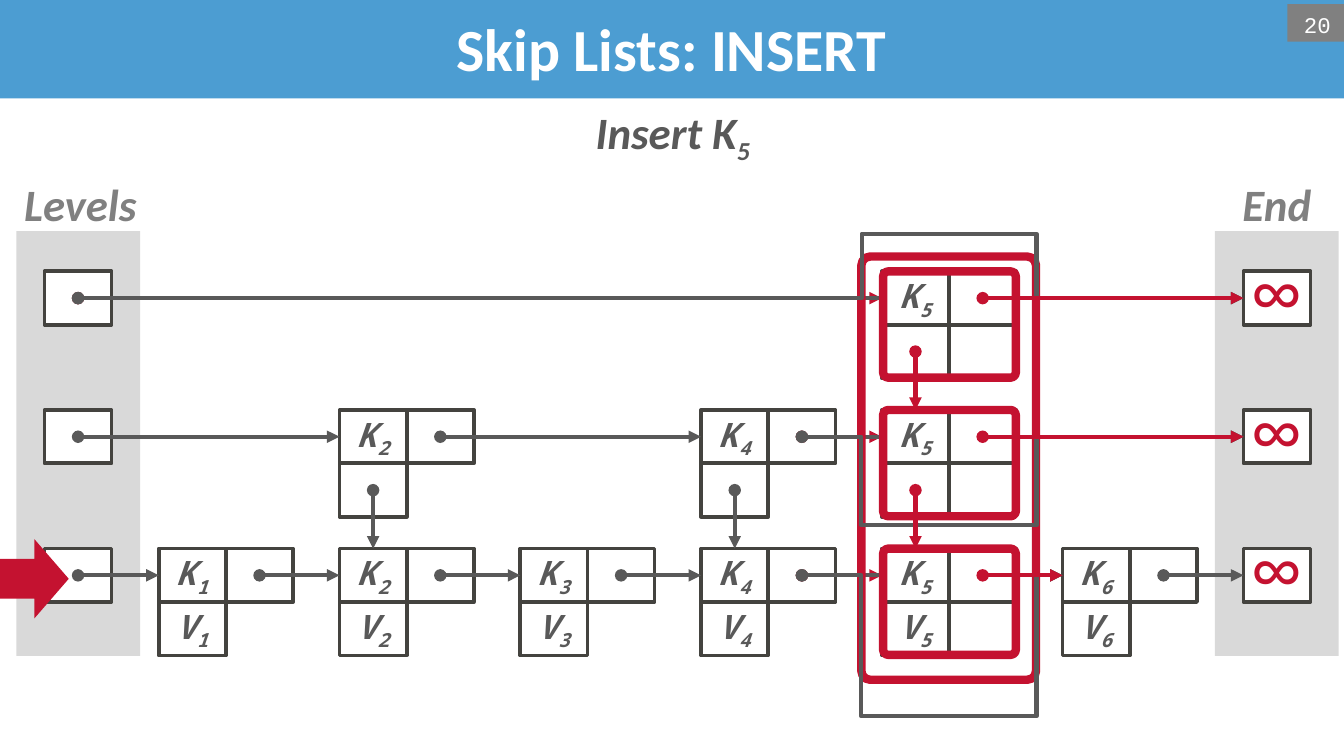
from lxml import etree
from pptx import Presentation
from pptx.dml.color import RGBColor
from pptx.enum.shapes import MSO_CONNECTOR, MSO_SHAPE
from pptx.enum.text import MSO_ANCHOR, PP_ALIGN
from pptx.oxml.ns import qn
from pptx.util import Cm, Pt

RECT, ROUNDED = MSO_SHAPE.RECTANGLE, MSO_SHAPE.ROUNDED_RECTANGLE
DOWN_ARROW = MSO_SHAPE.DOWN_ARROW
STRAIGHT, ELBOW = MSO_CONNECTOR.STRAIGHT, MSO_CONNECTOR.ELBOW
TOP, MIDDLE = MSO_ANCHOR.TOP, MSO_ANCHOR.MIDDLE
CENTER, RIGHT = PP_ALIGN.CENTER, PP_ALIGN.RIGHT
TOP_SIDE, LEFT_SIDE = 0, 1

WHITE, GREY, RED, OUTLINE = "FFFFFF", "595959", "C41230", "44433F"
PALE, MID, BLUE = "D9D9D9", "808080", "4C9DD2"
HEADING, MONO = "Calibri", "Noto Sans Mono"
DEFAULT_INSETS = (0.25, 0.13, 0.25, 0.13)

prs = Presentation()
prs.slide_width, prs.slide_height = Cm(25.4), Cm(14.29)
slide = prs.slides.add_slide(prs.slide_layouts[5])
shapes = slide.shapes


def box(text, x, y, w, h, *, sub="", shape=None, kind=RECT, fill=None, line=None,
        width=2, font=MONO, size=18, color=GREY, bold=True, italic=True,
        align=CENTER, anchor=MIDDLE, insets=(0.13, 0.13, 0.13, 0.13), spacing=None):
    """Place a shape, colour it and write its text with an optional subscript."""
    if shape is None:
        shape = shapes.add_shape(kind, 0, 0, 0, 0)
        shape.shadow.inherit = False
    shape.left, shape.top, shape.width, shape.height = Cm(x), Cm(y), Cm(w), Cm(h)
    if fill:
        shape.fill.solid()
        shape.fill.fore_color.rgb = RGBColor.from_string(fill)
    else:
        shape.fill.background()
    if line:
        shape.line.color.rgb = RGBColor.from_string(line)
        shape.line.width = Pt(width)
    else:
        shape.line.fill.background()
    if not text:
        return shape

    frame = shape.text_frame
    frame.word_wrap = True
    frame.vertical_anchor = anchor
    (frame.margin_left, frame.margin_top,
     frame.margin_right, frame.margin_bottom) = map(Cm, insets)
    paragraph = frame.paragraphs[0]
    paragraph.alignment = align
    paragraph.line_spacing = spacing
    for part in filter(None, (text, sub)):
        run = paragraph.add_run()
        run.text = part
        run.font.name, run.font.size = font, Pt(size)
        run.font.bold, run.font.italic = bold, italic
        run.font.color.rgb = RGBColor.from_string(color)
    if sub:
        run.font._element.set("baseline", "-25000")
    return shape


def link(x1, y1, x2, y2, color=GREY, *, turn=None, dot=True, arrow=True,
         target=None, side=LEFT_SIDE):
    """Draw a pointer; turn is the x at which an elbow bends."""
    kind = STRAIGHT if turn is None else ELBOW
    pointer = shapes.add_connector(kind, Cm(x1), Cm(y1), Cm(x2), Cm(y2))
    pointer.line.color.rgb = RGBColor.from_string(color)
    pointer.line.width = Pt(2.25)
    properties = pointer._element.spPr
    if turn is not None:
        adjust = etree.SubElement(next(properties.iter(qn("a:avLst"))), qn("a:gd"))
        adjust.set("name", "adj1")
        adjust.set("fmla", f"val {round((turn - x1) / (x2 - x1) * 100000)}")
    ends = pointer.line._get_or_add_ln()
    if dot:
        etree.SubElement(ends, qn("a:headEnd")).set("type", "oval")
    if arrow:
        etree.SubElement(ends, qn("a:tailEnd")).set("type", "triangle")
    etree.SubElement(properties, qn("a:effectLst"))
    if target is not None:
        pointer.end_connect(target, side)
    return pointer


# Grid: three levels, six key columns between the level heads and the end
CELL_W, CELL_H = 1.27, 1.01
HEAD_X, FIRST_X, END_X = 0.84, 3, 23.5
key_x = {n: FIRST_X + (n - 1) * (END_X - FIRST_X) / 6 for n in range(1, 7)}
dot_x = {n: x + 1.5 * CELL_W for n, x in key_x.items()}
head_dot = HEAD_X + CELL_W / 2
row_y = [5.13 + 2.62 * level for level in range(3)]
line_y = [y + CELL_H / 2 for y in row_y]
cell_style = dict(fill=WHITE, line=OUTLINE)

# Title, page number and subtitle
box("Skip Lists: INSERT", 0, -0.05, 25.4, 1.91, shape=shapes.title, fill=BLUE,
    font=HEADING, size=32, color=WHITE, italic=False, insets=DEFAULT_INSETS)
box("20", 24.33, 0.08, 1.07, 0.71, fill=MID, font="Courier New", size=12, color=WHITE,
    bold=False, italic=False, align=RIGHT, anchor=TOP, insets=DEFAULT_INSETS)
box("Insert K", 7.85, 1.85, 9.73, 1.27, sub="5", shape=shapes.add_textbox(0, 0, 0, 0),
    font=HEADING, size=24, anchor=TOP, insets=DEFAULT_INSETS)

# Side bands with their labels
for label, band_x, label_x, label_w in (("End", 22.96, 22.96, 2.34),
                                        ("Levels", 0.31, 0.25, 2.54)):
    box("", band_x, 4.37, 2.34, 8.03, fill=PALE)
    box(label, label_x, 3.33, label_w, 1.02, shape=shapes.add_textbox(0, 0, 0, 0),
        font=HEADING, size=24, color=MID, insets=(0, 0, 0, 0))

# Level heads and end cells
end_cells = []
for y in row_y:
    box("", HEAD_X, y, CELL_W, CELL_H, **cell_style)
    end_cells.append(box("∞", END_X, y, CELL_W, CELL_H, size=40, color=RED, bold=False,
                         italic=False, insets=(0, 0.25, 0, 0.13), spacing=0.8,
                         **cell_style))

# Existing nodes, then the frame and nodes of the new key over the old pointers
key_cells, incoming = {}, []
old_nodes = [(1, 2), (2, 1), (2, 2), (3, 2), (4, 1), (4, 2), (6, 2)]
new_nodes = [(5, 0), (5, 1), (5, 2)]
for nodes in (old_nodes, new_nodes):
    if nodes is new_nodes:
        for start, y, after in ((head_dot, line_y[0], END_X),
                                (dot_x[4], line_y[1], END_X),
                                (dot_x[4], line_y[2], key_x[6])):
            incoming.append(link(start, y, key_x[5], y, RED))
            old_target = key_cells[6, 2] if after == key_x[6] else end_cells[len(incoming) - 1]
            link(start, y, after, y, target=old_target)
        frame = box("", 16.28, 4.85, 3.3, 8, kind=ROUNDED, line=RED, width=4.5)
        frame.adjustments[0] = 0.05
    for n, level in nodes:
        x, y = key_x[n], row_y[level]
        key_cells[n, level] = box("K", x, y, CELL_W, CELL_H, sub=str(n), **cell_style)
        value = ("V", str(n)) if level == 2 else ("", "")
        box(value[0], x, y + CELL_H, CELL_W, CELL_H, sub=value[1], **cell_style)
        box("", x + CELL_W, y, CELL_W, CELL_H, **cell_style)
for level, pointer in enumerate(incoming):
    pointer.end_connect(key_cells[5, level], LEFT_SIDE)

# Pointers that stay as they were
for start, n, level in ((head_dot, 1, 2), (dot_x[1], 2, 2), (dot_x[2], 3, 2),
                        (dot_x[3], 4, 2), (head_dot, 2, 1), (dot_x[2], 4, 1)):
    link(start, line_y[level], key_x[n], line_y[level], target=key_cells[n, level])
link(dot_x[6], line_y[2], END_X, line_y[2], target=end_cells[2])

# Old pointers bent around the new node
BEND_LEFT, BEND_MID, BEND_RIGHT = 16.28, 17.93, 19.59
for start, level, detour_y, after in ((dot_x[4], 2, 13.54, key_x[6]),
                                      (head_dot, 0, 4.42, END_X),
                                      (dot_x[4], 1, 9.93, END_X)):
    link(start, line_y[level], BEND_MID, detour_y, turn=BEND_LEFT, arrow=False)
    link(BEND_MID, detour_y, after, line_y[level], turn=BEND_RIGHT, dot=False)

# Red outlines and outgoing pointers of the new node
for level, target in enumerate((end_cells[0], end_cells[1], key_cells[6, 2])):
    outline = box("", 16.69, row_y[level], 2.51, 2.01, kind=ROUNDED, line=RED, width=4.5)
    outline.adjustments[0] = 0.05
    after = key_x[6] if level == 2 else END_X
    link(dot_x[5], line_y[level], after, line_y[level], RED, target=target)

# Pointers down to the next level
for n, level, color in ((2, 1, GREY), (4, 1, GREY), (5, 1, RED), (5, 0, RED)):
    x = key_x[n] + CELL_W / 2
    link(x, row_y[level] + 1.5 * CELL_H, x, row_y[level + 1], color,
         target=key_cells[n, level + 1], side=TOP_SIDE)

# Marker at the current level
marker = box("", -0.1, 10.29, 1.5, 1.3, kind=DOWN_ARROW, fill=RED)
marker.rotation = 270

prs.save("out.pptx")
